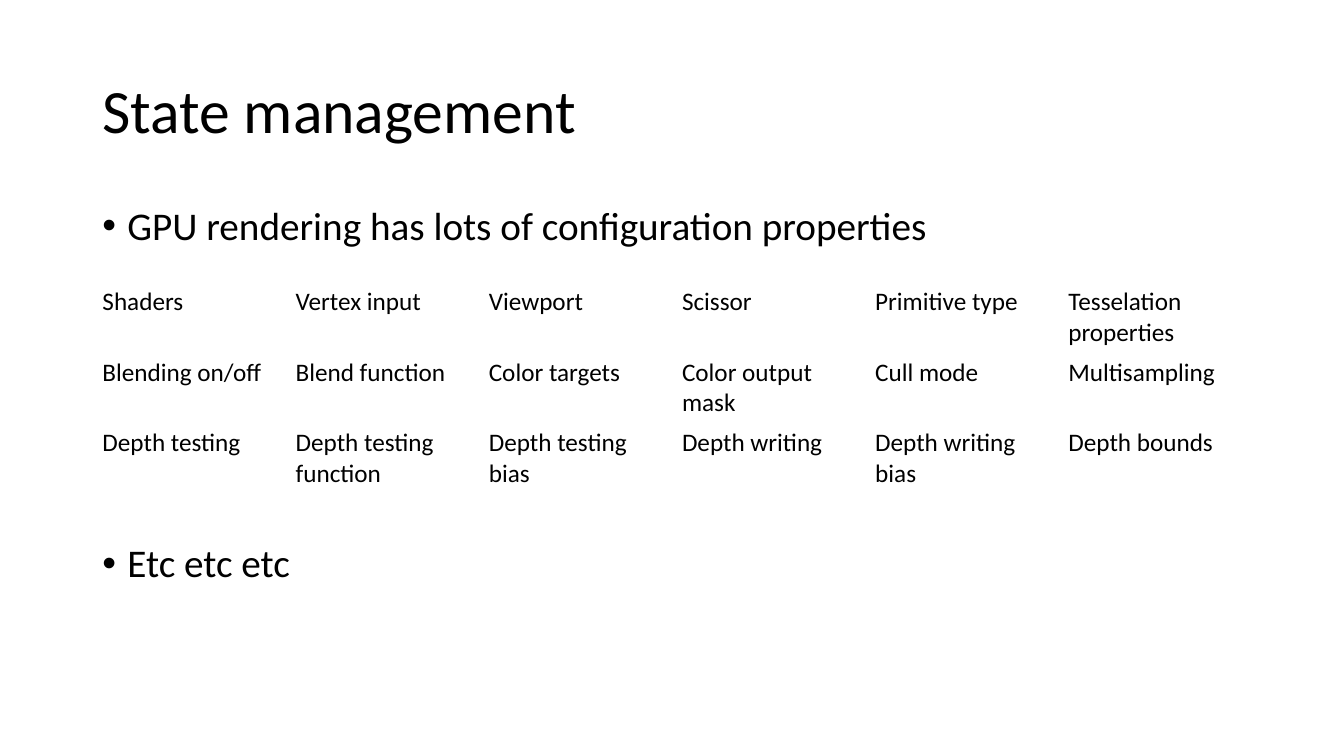
from dataclasses import dataclass

from pptx import Presentation
from pptx.dml.color import RGBColor
from pptx.enum.text import MSO_ANCHOR
from pptx.oxml.ns import qn
from pptx.util import Pt

TOP, MIDDLE = MSO_ANCHOR.TOP, MSO_ANCHOR.MIDDLE
NO_GRID = "{2D5ABB26-0587-4C30-8999-92F81FD0307C}"


@dataclass(frozen=True)
class Theme:
    font: str = "Calibri"
    mark: str = "Arial"
    ink: RGBColor = RGBColor(0, 0, 0)
    title: int = 44
    body: int = 28
    cell: int = 18


THEME = Theme()
LEFT, WIDTH = 66, 828
INDENT = 18

STATES = [
    ["Shaders", "Vertex input", "Viewport", "Scissor",
     "Primitive type", "Tesselation properties"],
    ["Blending on/off", "Blend function", "Color targets",
     "Color output mask", "Cull mode", "Multisampling"],
    ["Depth testing", "Depth testing function", "Depth testing bias",
     "Depth writing", "Depth writing bias", "Depth bounds"],
]


def style(para, size):
    font = para.font
    font.name, font.size = THEME.font, Pt(size)
    font.color.rgb = THEME.ink


def add_box(slide, top, height, anchor):
    box = slide.shapes.add_textbox(Pt(LEFT), Pt(top), Pt(WIDTH), Pt(height))
    frame = box.text_frame
    frame.word_wrap = True
    frame.vertical_anchor = anchor
    return frame


def add_title(slide, text):
    para = add_box(slide, 28.8, 104.4, MIDDLE).paragraphs[0]
    para.text = text
    para.line_spacing = 0.9
    style(para, THEME.title)


def set_bullet(para):
    props = para._p.get_or_add_pPr()
    props.set("marL", str(Pt(INDENT)))
    props.set("indent", str(-Pt(INDENT)))
    for tag, key, value in (("a:buFont", "typeface", THEME.mark),
                            ("a:buChar", "char", "•")):
        item = props.makeelement(qn(tag), {key: value})
        props.append(item)


def add_points(slide, points, gap):
    """Add bullets, with a gap between them that leaves room for the table."""
    frame = add_box(slide, 143.75, 342.6, TOP)
    for i, text in enumerate(points):
        para = frame.add_paragraph() if i else frame.paragraphs[0]
        para.text = text
        set_bullet(para)
        para.line_spacing = 0.9
        if i:
            para.space_before = Pt(gap)
        style(para, THEME.body)


def add_grid(slide, rows):
    count = len(rows[0])
    shape = slide.shapes.add_table(len(rows), count, Pt(LEFT), Pt(201),
                                   Pt(WIDTH), Pt(50.4 * len(rows)))
    table = shape.table
    table.first_row = table.horz_banding = False
    next(shape.element.iter(qn("a:tableStyleId"))).text = NO_GRID
    for r, row in enumerate(rows):
        for c, text in enumerate(row):
            cell = table.cell(r, c)
            cell.fill.background()
            cell.text = text
            style(cell.text_frame.paragraphs[0], THEME.cell)


def main():
    deck = Presentation()
    deck.slide_width, deck.slide_height = Pt(960), Pt(540)
    slide = deck.slides.add_slide(deck.slide_layouts[6])
    add_title(slide, "State management")
    add_points(slide, ["GPU rendering has lots of configuration properties",
                       "Etc etc etc"], 211)
    add_grid(slide, STATES)
    deck.save("out.pptx")


if __name__ == "__main__":
    main()
